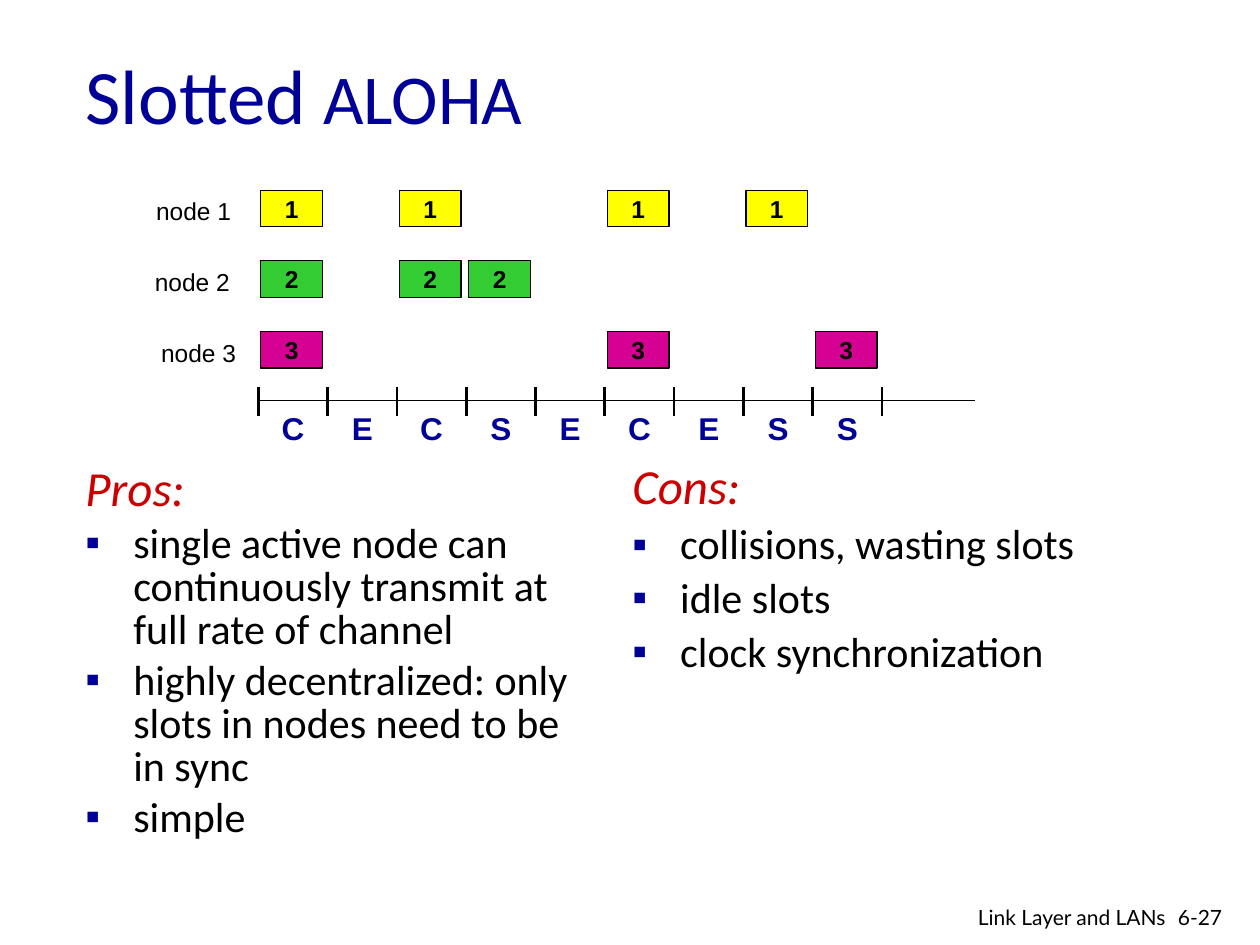
import lxml.etree
import pptx
import pptx.dml.color
import pptx.enum.shapes
import pptx.enum.text
import pptx.oxml.ns
import pptx.util
from pptx.util import Inches

RGBColor = pptx.dml.color.RGBColor
Pt = pptx.util.Pt
ALIGN = pptx.enum.text.PP_ALIGN
MIDDLE = pptx.enum.text.MSO_ANCHOR.MIDDLE
qn = pptx.oxml.ns.qn

BLACK = RGBColor(0x00, 0x00, 0x00)
NAVY = RGBColor(0x00, 0x00, 0x99)
RED = RGBColor(0xCC, 0x00, 0x00)
YELLOW = RGBColor(0xFF, 0xFF, 0x00)
GREEN = RGBColor(0x33, 0xCC, 0x33)
MAGENTA = RGBColor(0xD6, 0x00, 0x93)

presentation = pptx.Presentation()
presentation.slide_width = Inches(10)
presentation.slide_height = Inches(7.5)
slide = presentation.slides.add_slide(presentation.slide_layouts[6])


def add_text(left, top, width, height, text, size, font, color=BLACK,
             bold=False, align=ALIGN.LEFT):
    box = slide.shapes.add_textbox(
        Inches(left), Inches(top), Inches(width), Inches(height))
    box.text_frame.word_wrap = True
    paragraph = box.text_frame.paragraphs[0]
    paragraph.text = text
    paragraph.alignment = align
    paragraph.font.size = Pt(size)
    paragraph.font.name = font
    paragraph.font.bold = bold
    paragraph.font.color.rgb = color
    return box


def add_line(x1, y1, x2, y2, width):
    line = slide.shapes.add_connector(
        pptx.enum.shapes.MSO_CONNECTOR.STRAIGHT,
        Inches(x1), Inches(y1), Inches(x2), Inches(y2))
    line.line.color.rgb = BLACK
    line.line.width = Pt(width)
    lxml.etree.SubElement(line._element.spPr, qn("a:effectLst"))


# Pros and cons
columns = [
    (0.58, 3.65, 0.85, "Pros:", [
        "single active node can continuously transmit at full rate of channel",
        "highly decentralized: only slots in nodes need to be in sync",
        "simple"]),
    (4.92, 3.62, 0.9, "Cons:", [
        "collisions, wasting slots", "idle slots", "clock synchronization"]),
]
for left, top, line_spacing, heading, points in columns:
    box = slide.shapes.add_textbox(
        Inches(left), Inches(top), Inches(4.17), Inches(3.5))
    frame = box.text_frame
    frame.word_wrap = True
    for index, text in enumerate([heading] + points):
        is_heading = index == 0
        size = 28 if is_heading else 24
        paragraph = frame.paragraphs[0] if is_heading else frame.add_paragraph()
        paragraph.text = text
        paragraph.line_spacing = line_spacing
        paragraph.space_before = Pt(size * 0.2)
        properties = paragraph._p.get_or_add_pPr()
        properties.set("marL", str(Inches(0.38)))
        properties.set("indent", str(Inches(-0.38)))
        if not is_heading:
            bullet_color = lxml.etree.SubElement(properties, qn("a:buClr"))
            lxml.etree.SubElement(
                bullet_color, qn("a:srgbClr"), val=str(NAVY))
            lxml.etree.SubElement(properties, qn("a:buFont"), typeface="Arial")
            lxml.etree.SubElement(properties, qn("a:buChar"), char="▪")
        paragraph.font.size = Pt(size)
        paragraph.font.name = "Calibri"
        paragraph.font.italic = is_heading
        paragraph.font.color.rgb = RED if is_heading else BLACK

# Title
title = add_text(0.58, 0.12, 5.42, 1.25, "Slotted ", 44, "Calibri", NAVY)
title.text_frame.vertical_anchor = MIDDLE
protocol = title.text_frame.paragraphs[0].add_run()
protocol.text = "ALOHA"
protocol.font.size = Pt(40)

# Frames sent by each node, by slot number
slot_left = 2.05
slot_width = 0.55
nodes = [
    (1, 1.14, YELLOW, [0, 2, 5, 7]),
    (2, 1.13, GREEN, [0, 2, 3]),
    (3, 1.18, MAGENTA, [0, 5, 8]),
]
for number, label_left, color, slots in nodes:
    top = 1.51 + 0.56 * (number - 1)
    add_text(label_left, top, 0.85, 0.33, f"node {number}", 14, "Arial")
    for slot in slots:
        packet = slide.shapes.add_shape(
            pptx.enum.shapes.MSO_SHAPE.RECTANGLE,
            Inches(slot_left + slot_width * slot + 0.02), Inches(top),
            Inches(0.49), Inches(0.29))
        packet.shadow.inherit = False
        packet.fill.solid()
        packet.fill.fore_color.rgb = color
        packet.line.color.rgb = BLACK
        packet.line.width = Pt(0.75)
        frame = packet.text_frame
        frame.margin_top = frame.margin_bottom = 0
        frame.vertical_anchor = MIDDLE
        paragraph = frame.paragraphs[0]
        paragraph.text = str(number)
        paragraph.alignment = ALIGN.CENTER
        paragraph.font.size = Pt(14)
        paragraph.font.name = "Arial"
        paragraph.font.bold = True
        paragraph.font.color.rgb = BLACK

# Time axis with slot boundaries and outcomes
outcomes = "CECSECESS"
add_line(slot_left, 3.18, 7.74, 3.18, 0.75)
for boundary in range(len(outcomes) + 1):
    x = slot_left + slot_width * boundary
    add_line(x, 3.07, x, 3.3, 1.5)
for slot, outcome in enumerate(outcomes):
    add_text(slot_left + slot_width * slot, 3.2, slot_width, 0.4,
             outcome, 18, "Arial", NAVY, bold=True, align=ALIGN.CENTER)

# Footer
add_text(9.25, 7.13, 0.6, 0.3, "6-27", 12, "Lato")
add_text(6.97, 7.13, 2.38, 0.26, "Link Layer and LANs", 12, "Lato",
         align=ALIGN.RIGHT)

presentation.save("out.pptx")
